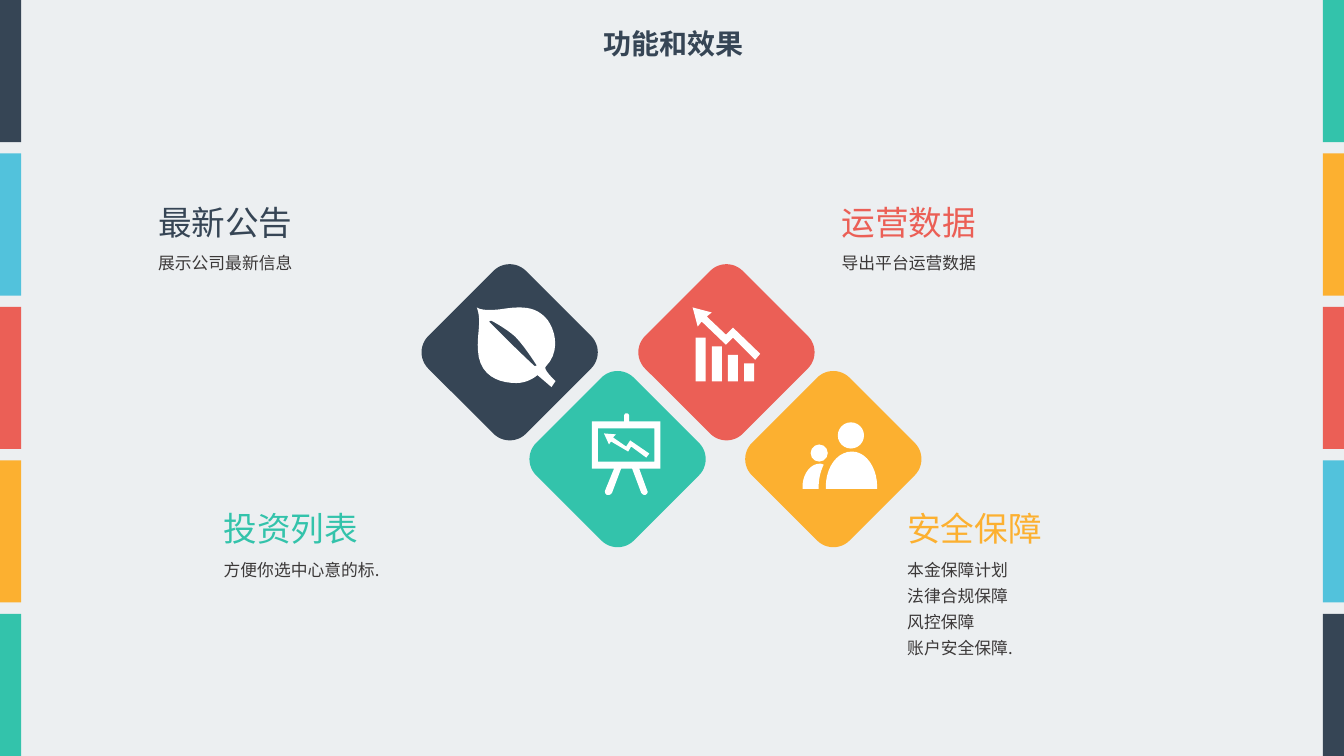
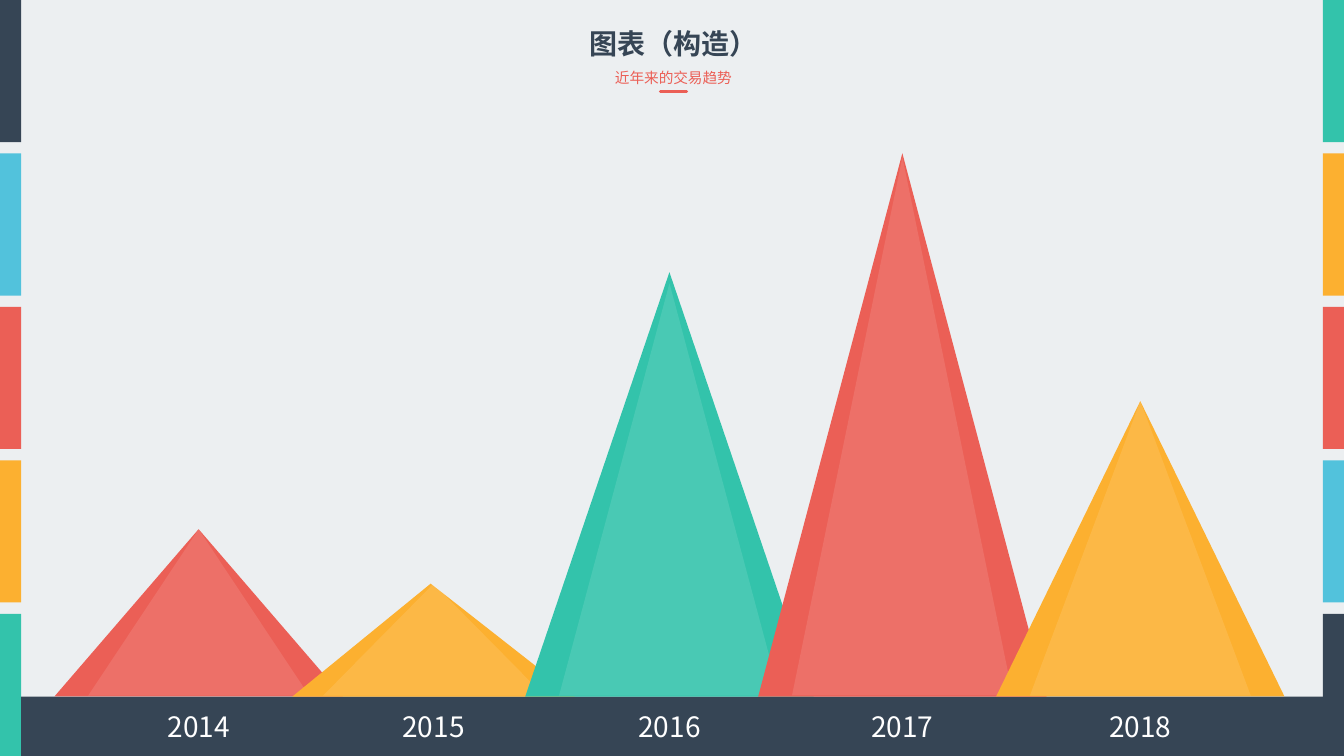
from lxml import etree
from pptx import Presentation
from pptx.dml.color import RGBColor
from pptx.enum.shapes import MSO_CONNECTOR, MSO_SHAPE as Preset
from pptx.enum.text import PP_ALIGN as Align
from pptx.oxml.ns import qn
from pptx.util import Inches, Pt

FONT = "Noto Sans CJK SC"
COLORS = {
    "paper": "ECEFF1", "navy": "364555", "sky": "52C2DC", "red": "EB5F56",
    "amber": "FCB030", "teal": "33C3AB", "white": "FFFFFF", "ink": "3B3838",
}
WIDTH, HEIGHT = 13.33, 7.5
BAND_WIDTH, BAND_HEIGHT = 0.21, 1.41
BAND_COLORS = ["navy", "sky", "red", "amber", "teal"]
HEADING_LEFT, HEADING_WIDTH = 4.93, 3.5
HEADING_CENTER = HEADING_LEFT + HEADING_WIDTH / 2


def add_block(shapes, preset, box, color):
    block = shapes.add_shape(preset, *map(Inches, box))
    block.shadow.inherit = False
    block.fill.solid()
    block.fill.fore_color.rgb = RGBColor.from_string(COLORS[color])
    block.line.fill.background()
    return block


def add_text(slide, box, lines, size, color, align=Align.LEFT, spacing=None, bold=None):
    frame = slide.shapes.add_textbox(*map(Inches, box)).text_frame
    frame.word_wrap = True
    frame.text = "\n".join(lines)
    for paragraph in frame.paragraphs:
        paragraph.alignment = align
        paragraph.line_spacing = spacing
        font = paragraph.font
        font.name, font.size, font.bold = FONT, Pt(size), bold
        font.color.rgb = RGBColor.from_string(COLORS[color])
        defaults = paragraph._p.pPr.find(qn("a:defRPr"))
        etree.SubElement(defaults, qn("a:ea"), typeface=FONT)


prs = Presentation()
prs.slide_width, prs.slide_height = Inches(WIDTH), Inches(HEIGHT)

# Shared background, title and side bands
slides = []
for title in ["功能和效果", "图表（构造）"]:
    slide = prs.slides.add_slide(prs.slide_layouts[6])
    slide.background.fill.solid()
    slide.background.fill.fore_color.rgb = RGBColor.from_string(COLORS["paper"])
    add_text(slide, (HEADING_LEFT, 0.21, HEADING_WIDTH, 0.44), [title], 20, "navy",
             Align.CENTER, bold=True)
    band_pitch = (HEIGHT - BAND_HEIGHT) / (len(BAND_COLORS) - 1)
    for left, band_colors in [(0, BAND_COLORS), (WIDTH - BAND_WIDTH, BAND_COLORS[::-1])]:
        for row, color in enumerate(band_colors):
            add_block(slide.shapes, Preset.RECTANGLE,
                      (left, row * band_pitch, BAND_WIDTH, BAND_HEIGHT), color)
    slides.append(slide)
features, trend = slides

# Slide 1: four features.
# An outline is a list of contours; each step is a point (x, y)
# or a Bezier curve (two control points and an end point).
leaf = [
    [(4.73, 3.05), (4.73, 3.05, 4.78, 3.1, 5.02, 3.06), (5.24, 3.03, 5.33, 3.07, 5.41, 3.15),
     (5.49, 3.23, 5.58, 3.47, 5.41, 3.64), (5.39, 3.67, 5.51, 3.78, 5.51, 3.78),
     (5.47, 3.84), (5.33, 3.72), (5.33, 3.72, 5.25, 3.8, 5.12, 3.8),
     (4.95, 3.8, 4.75, 3.73, 4.74, 3.47), (4.73, 3.3, 4.78, 3.19, 4.73, 3.05)],
    [(4.86, 3.2), (4.86, 3.2, 4.93, 3.27, 5.06, 3.4), (5.17, 3.51, 5.3, 3.63, 5.3, 3.63),
     (5.32, 3.63), (5.32, 3.62), (5.32, 3.62, 5.2, 3.43, 5.11, 3.34),
     (5.01, 3.25, 4.87, 3.18, 4.87, 3.18), (4.85, 3.19)],
]
falling_arrow = [
    [(6.92, 3.24), (6.87, 3.05), (7.06, 3.1), (7.01, 3.14), (7.2, 3.32), (7.27, 3.25),
     (7.54, 3.51), (7.49, 3.57), (7.27, 3.35), (7.2, 3.42), (6.96, 3.19)],
]
easel = [
    [(5.87, 4.18), (6.19, 4.18), (6.19, 4.13), (6.19, 4.11, 6.2, 4.1, 6.21, 4.1),
     (6.23, 4.1, 6.24, 4.11, 6.24, 4.13), (6.24, 4.18), (6.55, 4.18), (6.55, 4.65),
     (6.34, 4.65), (6.42, 4.87), (6.43, 4.88, 6.42, 4.9, 6.4, 4.91), (6.39, 4.91),
     (6.38, 4.91, 6.37, 4.9, 6.36, 4.89), (6.27, 4.65), (6.16, 4.65), (6.07, 4.89),
     (6.06, 4.9, 6.05, 4.91, 6.04, 4.91), (6.02, 4.91), (6, 4.9, 6, 4.88, 6, 4.87),
     (6.09, 4.65), (5.87, 4.65)],
    [(5.93, 4.58), (6.49, 4.58), (6.49, 4.25), (5.93, 4.25)],
]
easel_arrow = [
    [(6.41, 4.54), (6.26, 4.43), (6.23, 4.48), (6.06, 4.38), (6.04, 4.41), (5.99, 4.3),
     (6.11, 4.31), (6.08, 4.34), (6.21, 4.43), (6.25, 4.37), (6.44, 4.5)],
]
adult_body = [
    [(8.45, 4.48), (8.59, 4.48, 8.7, 4.64, 8.7, 4.83), (8.7, 4.85), (8.19, 4.85),
     (8.19, 4.83), (8.19, 4.64, 8.3, 4.48, 8.45, 4.48)],
]
child_body = [
    [(8.13, 4.6), (8.14, 4.6, 8.15, 4.6, 8.17, 4.61), (8.14, 4.67, 8.12, 4.75, 8.12, 4.83),
     (8.12, 4.85), (7.96, 4.85), (7.96, 4.83), (7.96, 4.7, 8.04, 4.6, 8.13, 4.6)],
]
heads = [(8.31, 4.19, 0.26, 0.26), (8.04, 4.41, 0.17, 0.17)]
bars = [(6.9 + 0.16 * i, 3.35 + 0.085 * i, 0.1, 0.435 - 0.085 * i) for i in range(4)]

# color, diamond corner, text corner, heading, details, icon outlines, icon presets
feature_items = [
    ("amber", (7.58, 3.87), (8.9, 4.99), "安全保障",
     ["本金保障计划", "法律合规保障", "风控保障", "账户安全保障."],
     [adult_body, child_body], [(Preset.OVAL, head) for head in heads]),
    ("red", (6.52, 2.81), (8.25, 1.95), "运营数据", ["导出平台运营数据"],
     [falling_arrow], [(Preset.RECTANGLE, bar) for bar in bars]),
    ("navy", (4.37, 2.81), (1.47, 1.95), "最新公告", ["展示公司最新信息"], [leaf], []),
    ("teal", (5.44, 3.87), (2.12, 4.99), "投资列表", ["方便你选中心意的标."],
     [easel, easel_arrow], []),
]
CURVE_STEPS = 10
for color, corner, (left, top), heading, details, outlines, presets in feature_items:
    badge = features.shapes.add_group_shape().shapes
    add_block(badge, Preset.ROUNDED_RECTANGLE, (*corner, 1.37, 1.37), color).rotation = 45
    for preset, box in presets:
        add_block(badge, preset, box, "white")
    for outline in outlines:
        builder = None
        for contour in outline:
            points = [contour[0]]
            for step in contour[1:]:
                if len(step) == 2:
                    points.append(step)
                    continue
                x0, y0 = points[-1]
                x1, y1, x2, y2, x3, y3 = step
                for i in range(1, CURVE_STEPS + 1):
                    t = i / CURVE_STEPS
                    a, b, c, d = (1 - t) ** 3, 3 * t * (1 - t) ** 2, 3 * t * t * (1 - t), t ** 3
                    points.append((a * x0 + b * x1 + c * x2 + d * x3,
                                   a * y0 + b * y1 + c * y2 + d * y3))
            start, *rest = [(Inches(x), Inches(y)) for x, y in points]
            if builder is None:
                builder = badge.build_freeform(*start)
            else:
                builder.move_to(*start)
            builder.add_line_segments(rest, close=True)
        icon = builder.convert_to_shape()
        icon.shadow.inherit = False
        icon.fill.solid()
        icon.fill.fore_color.rgb = RGBColor.from_string(COLORS["white"])
        icon.line.fill.background()
    add_text(features, (left, top, 1.9, 0.5), [heading], 24, color)
    add_text(features, (left, top + 0.45, 2.96, 0.29 * len(details) + 0.07), details, 12, "ink",
             spacing=1.3)

# Slide 2: yearly peaks
add_text(trend, (HEADING_LEFT, 0.58, HEADING_WIDTH, 0.33), ["近年来的交易趋势"], 10.5, "red",
         Align.CENTER, spacing=1.3)
underline = trend.shapes.add_connector(
    MSO_CONNECTOR.STRAIGHT, Inches(HEADING_CENTER - 0.13), Inches(0.91),
    Inches(HEADING_CENTER + 0.13), Inches(0.91))
underline.line.color.rgb = RGBColor.from_string(COLORS["red"])
underline.line.width = Pt(2.25)
underline_props = underline._element.spPr
underline_props.find(qn("a:ln")).set("cap", "rnd")
etree.SubElement(underline_props, qn("a:effectLst"))

GROUND = 6.91
GLINT_WIDTH = 2.19
add_block(trend.shapes, Preset.RECTANGLE,
          (BAND_WIDTH, GROUND, WIDTH - 2 * BAND_WIDTH, HEIGHT - GROUND), "navy")

# year, color, center, width, top, glint top, apex position across the base
peaks = [
    ("2014", "red", 1.97, 2.86, 5.25, 5.25, 0.5),
    ("2015", "amber", 4.3, 2.8, 5.79, 5.79, 0.49),
    ("2016", "teal", 6.64, 2.86, 2.7, 2.81, 0.5),
    ("2017", "red", 8.95, 2.86, 1.52, 1.56, 0.5),
    ("2018", "amber", 11.31, 2.86, 3.98, 3.98, 0.5),
]
for year, color, center, width, top, glint_top, apex in peaks:
    peak = trend.shapes.add_group_shape().shapes
    slope = add_block(peak, Preset.ISOSCELES_TRIANGLE,
                      (center - width / 2, top, width, GROUND - top), color)
    slope.adjustments[0] = apex
    glint = add_block(peak, Preset.ISOSCELES_TRIANGLE,
                      (center - GLINT_WIDTH / 2, glint_top, GLINT_WIDTH, GROUND - 0.01 - glint_top),
                      "white")
    glint_color = glint._element.spPr.find(qn("a:solidFill"))[0]
    etree.SubElement(glint_color, qn("a:alpha"), val="11000")
    add_text(trend, (center - 0.95, 6.99, 1.9, 0.44), [year], 20, "white", Align.CENTER)

prs.save("out.pptx")
